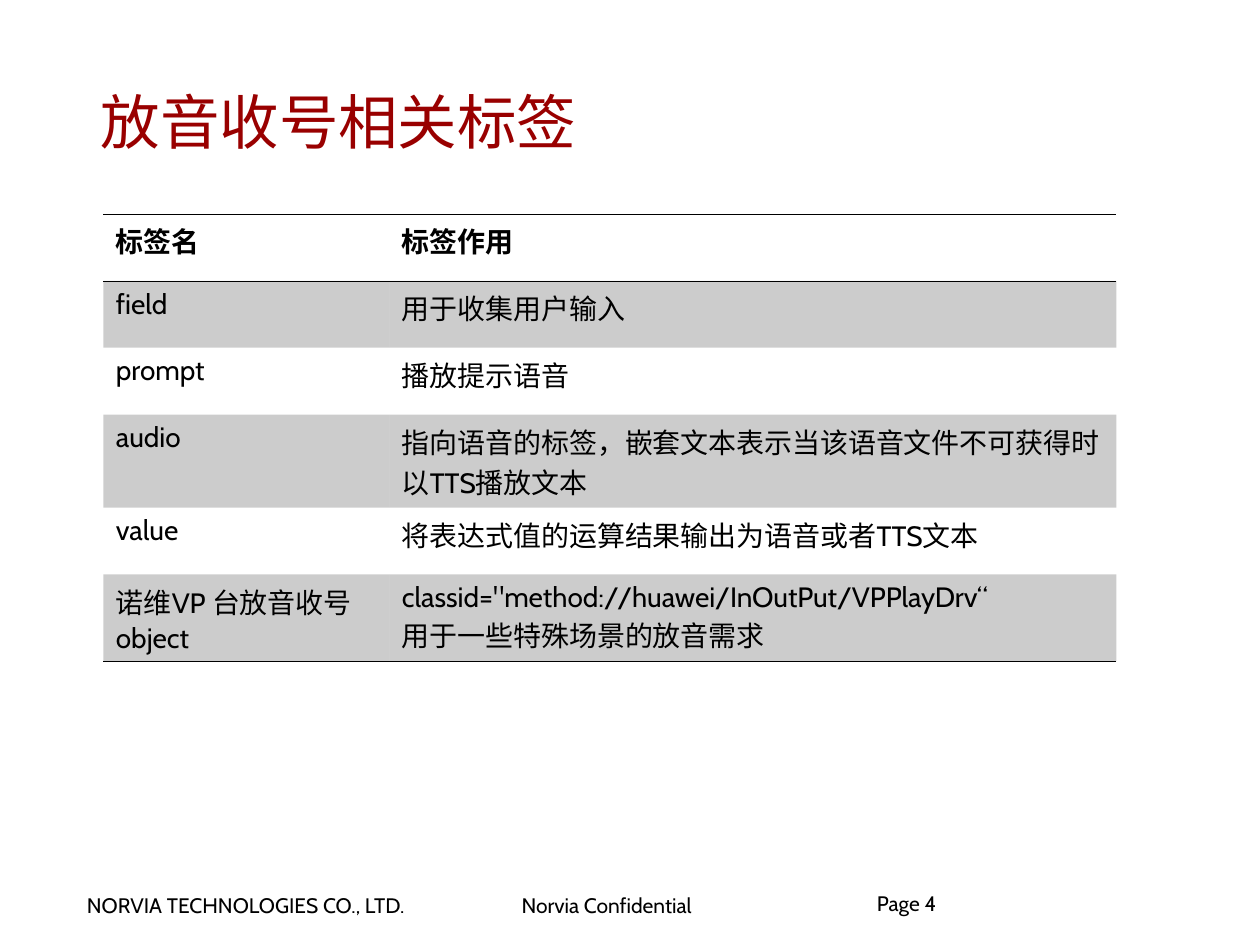
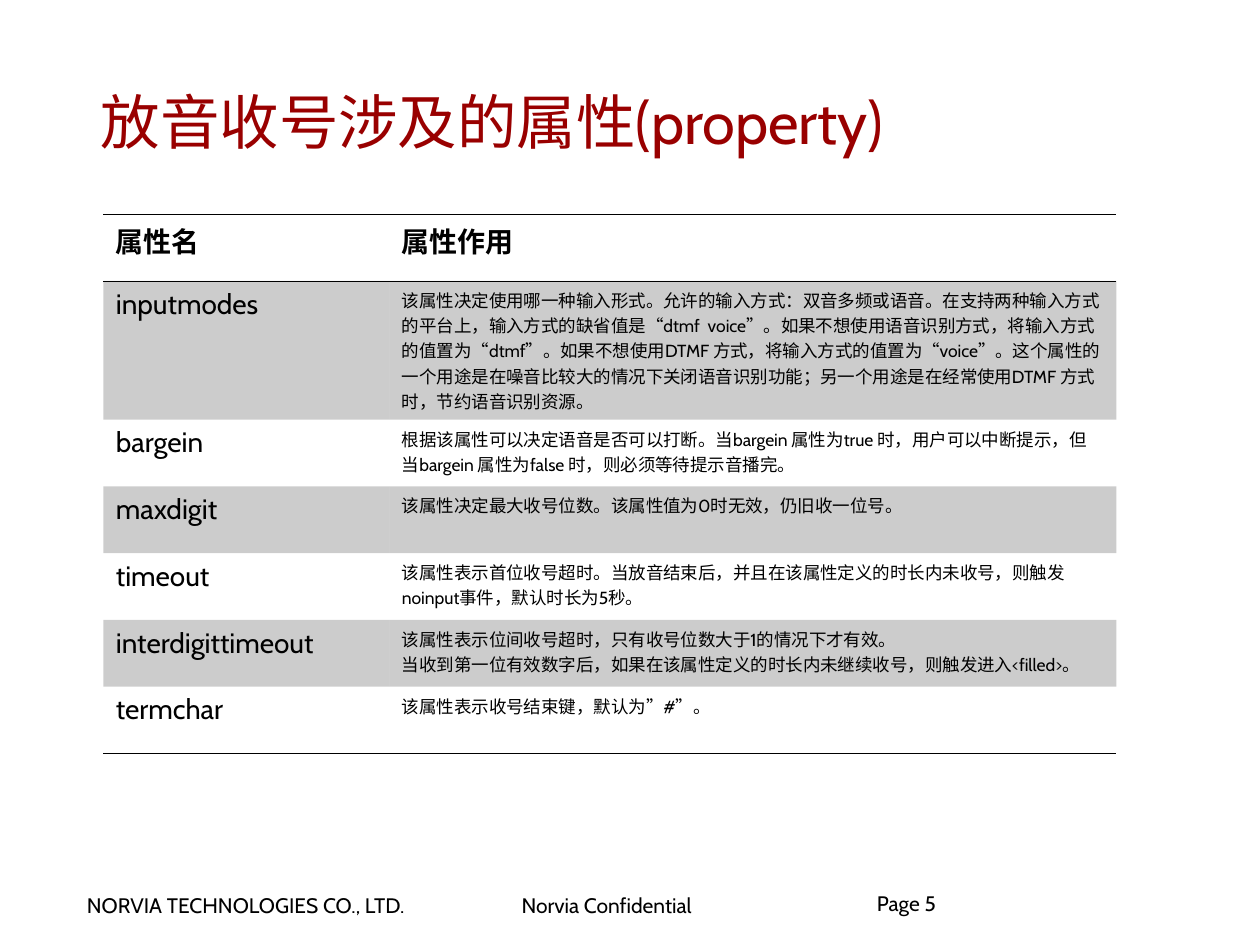
from pptx import Presentation
from pptx.dml.color import RGBColor as RGB
from pptx.enum.text import MSO_ANCHOR as Anchor, MSO_AUTO_SIZE as Auto, PP_ALIGN as Align
from pptx.oxml import parse_xml
from pptx.oxml.ns import nsdecls, qn
from pptx.util import Inches, Pt

FONT = "Cabin"
COLORS = {"text": "000000", "title": "990000", "band": "000000", "rule": "000000"}
NO_STYLE = "{2D5ABB26-0587-4C30-8999-92F81FD0307C}"
ROW = 0.53
COLS = (2.27, 5.77)

TAGS = [
    ("标签名", "标签作用"),
    ("field", "用于收集用户输入"),
    ("prompt", "播放提示语音"),
    ("audio", "指向语音的标签，嵌套文本表示当该语音文件不可获得时以TTS播放文本"),
    ("value", "将表达式值的运算结果输出为语音或者TTS文本"),
    ("诺维VP 台放音收号object",
     "classid=\"method://huawei/InOutPut/VPPlayDrv“\n用于一些特殊场景的放音需求"),
]
PROPS = [
    ("属性名", "属性作用"),
    ("inputmodes",
     "该属性决定使用哪一种输入形式。允许的输入方式：双音多频或语音。"
     "在支持两种输入方式的平台上，输入方式的缺省值是“dtmf  voice”。"
     "如果不想使用语音识别方式，将输入方式的值置为“dtmf”。"
     "如果不想使用DTMF 方式，将输入方式的值置为“voice”。"
     "这个属性的一个用途是在噪音比较大的情况下关闭语音识别功能；"
     "另一个用途是在经常使用DTMF 方式时，节约语音识别资源。"),
    ("bargein",
     "根据该属性可以决定语音是否可以打断。当bargein 属性为true 时，"
     "用户可以中断提示，但当bargein 属性为false 时，则必须等待提示音播完。"),
    ("maxdigit", "该属性决定最大收号位数。该属性值为0时无效，仍旧收一位号。"),
    ("timeout",
     "该属性表示首位收号超时。当放音结束后，并且在该属性定义的时长内未收号，"
     "则触发noinput事件，默认时长为5秒。"),
    ("interdigittimeout",
     "该属性表示位间收号超时，只有收号位数大于1的情况下才有效。\n"
     "当收到第一位有效数字后，如果在该属性定义的时长内未继续收号，则触发进入<filled>。"),
    ("termchar", "该属性表示收号结束键，默认为”#”。"),
]


def write(frame, text, size=12, color="text", bold=False, spacing=None):
    """Fill a text frame, one paragraph for each line of text."""
    for i, line in enumerate(text.split("\n")):
        para = frame.paragraphs[0] if i == 0 else frame.add_paragraph()
        para.alignment = Align.LEFT
        if spacing:
            para.line_spacing = spacing
        run = para.add_run()
        run.text = line
        font = run.font
        font.name, font.size, font.bold = FONT, Pt(size), bold
        font.color.rgb = RGB.from_string(COLORS[color])


def pad(frame, side, top):
    frame.margin_left = frame.margin_right = Inches(side)
    frame.margin_top = frame.margin_bottom = Inches(top)


def add_title(slide, text):
    title = slide.shapes.title
    title.left, title.top = Inches(0.71), Inches(0.48)
    title.width, title.height = Inches(8.47), Inches(0.95)
    frame = title.text_frame
    frame.auto_size = Auto.NONE
    frame.vertical_anchor = Anchor.MIDDLE
    pad(frame, 0.09, 0.04)
    write(frame, text, size=34, color="title")


def add_box(slide, left, top, width, height):
    box = slide.shapes.add_textbox(*map(Inches, (left, top, width, height)))
    return box.text_frame


def add_footer(slide, page):
    for text, left, width in (("NORVIA TECHNOLOGIES CO., LTD.", 0.6, 3.09),
                              ("Norvia Confidential", 4.05, 2.18)):
        frame = add_box(slide, left, 7.04, width, 0.29)
        frame.word_wrap = False
        frame.auto_size = Auto.SHAPE_TO_FIT_TEXT
        pad(frame, 0.09, 0.04)
        write(frame, text)
    frame = add_box(slide, 6.96, 7.1, 2.29, 0.5)
    frame.word_wrap = True
    pad(frame, 0, 0)
    write(frame, f"Page {page}", spacing=0.85)


def add_rule(cell, side):
    """Draw a thin line on the top (T) or bottom (B) side of a cell."""
    cell._tc.get_or_add_tcPr().append(parse_xml(
        f'<a:ln{side} {nsdecls("a")} w="{Pt(0.45)}"><a:solidFill>'
        f'<a:srgbClr val="{COLORS["rule"]}"/></a:solidFill></a:ln{side}>'))


def shade(cell):
    """Fill a cell with a 20 % tint."""
    cell.fill.solid()
    cell.fill.fore_color.rgb = RGB.from_string(COLORS["band"])
    tint = cell._tc.tcPr.find(qn("a:solidFill"))
    tint[0].append(parse_xml(f'<a:alpha {nsdecls("a")} val="20000"/>'))


def add_grid(slide, rows, tall, size):
    """Add a two-column table; tall maps row numbers to greater heights."""
    heights = [tall.get(r, ROW) for r in range(len(rows))]
    table = slide.shapes.add_table(
        len(rows), len(COLS), Inches(0.82), Inches(1.7),
        Inches(sum(COLS)), Inches(sum(heights))).table
    table.first_row = table.horz_banding = False
    table._tbl.tblPr.find(qn("a:tableStyleId")).text = NO_STYLE
    for c, width in enumerate(COLS):
        table.columns[c].width = Inches(width)
    for r, texts in enumerate(rows):
        table.rows[r].height = Inches(heights[r])
        for c, text in enumerate(texts):
            cell = table.cell(r, c)
            pad(cell, 0.1, 0.05)
            write(cell.text_frame, text, size=size if r and c else 16, bold=r == 0)
            # Rules frame the header and close the table
            if r == 0:
                add_rule(cell, "T")
            if r in (0, len(rows) - 1):
                add_rule(cell, "B")
            if r % 2:
                shade(cell)
            else:
                cell.fill.background()


def main():
    deck = Presentation()
    deck.slide_width, deck.slide_height = Inches(10), Inches(7.5)
    # Title, rows, taller rows, size of the right column
    pages = (("放音收号相关标签", TAGS, {3: 0.74, 5: 0.69}, 16),
             ("放音收号涉及的属性(property)", PROPS, {1: 1.1}, 10))
    for page, (title, rows, tall, size) in enumerate(pages, start=4):
        slide = deck.slides.add_slide(deck.slide_layouts[5])
        add_footer(slide, page)
        add_title(slide, title)
        add_grid(slide, rows, tall, size)
    deck.save("out.pptx")


if __name__ == "__main__":
    main()
